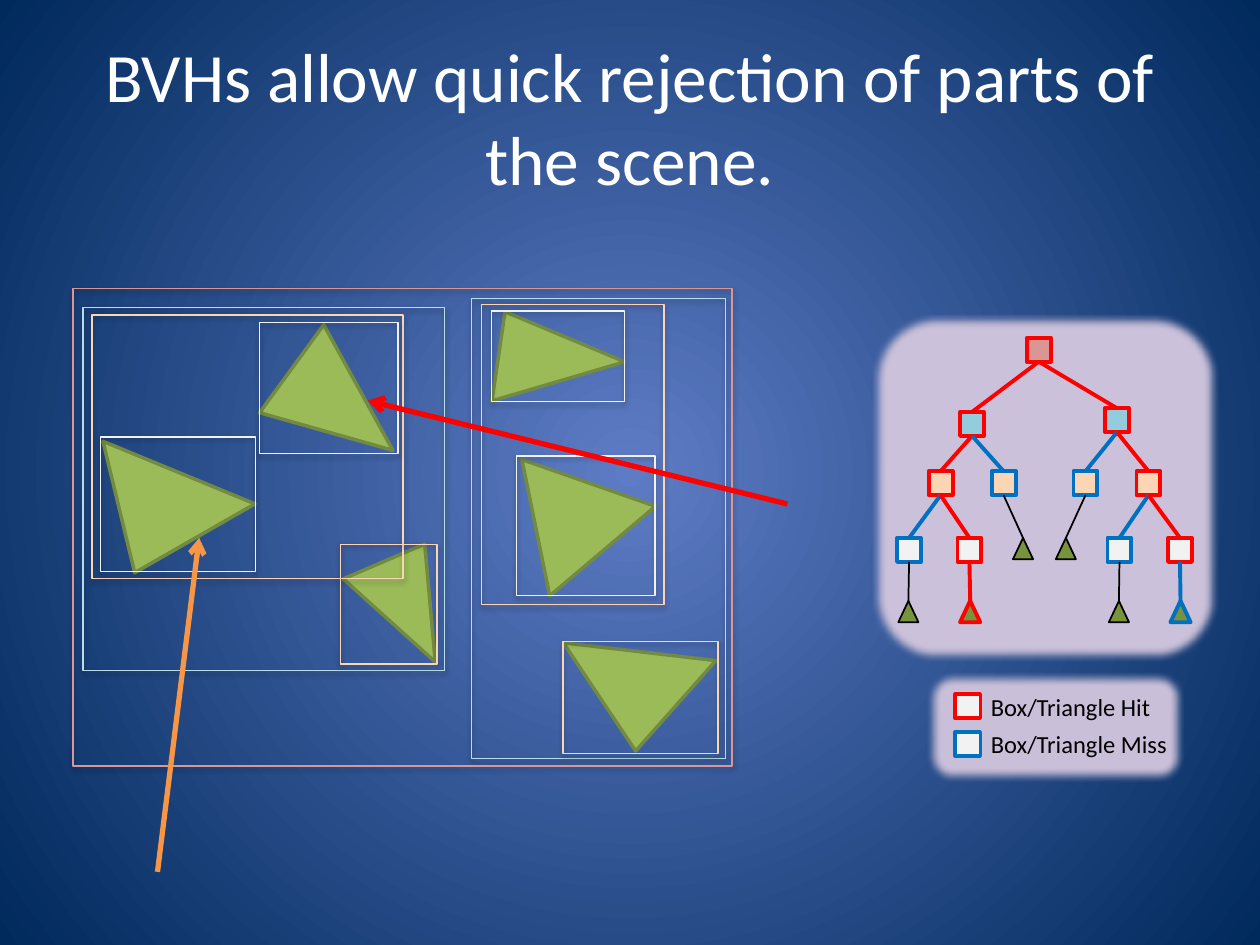
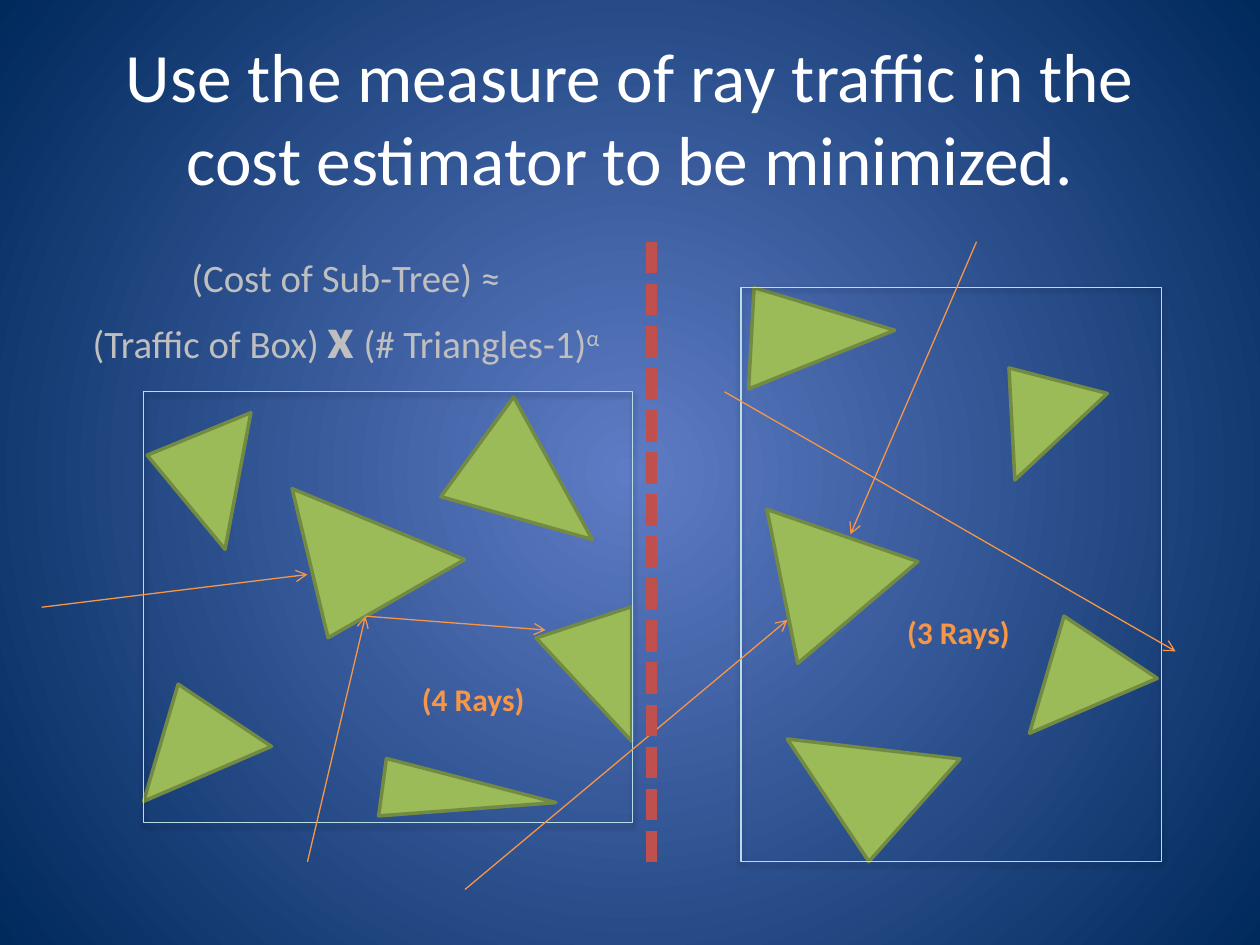
"""Build two slides on bounding volume hierarchies and ray traffic."""
from typing import Any, NamedTuple

from lxml import etree
from pptx import Presentation
from pptx.dml.color import RGBColor
from pptx.enum.dml import MSO_LINE
from pptx.enum.shapes import MSO_CONNECTOR, MSO_SHAPE
from pptx.enum.text import MSO_ANCHOR, MSO_AUTO_SIZE, PP_ALIGN
from pptx.oxml.ns import qn
from pptx.util import Pt

RECT, ROUND, TRI = MSO_SHAPE.RECTANGLE, MSO_SHAPE.ROUNDED_RECTANGLE, MSO_SHAPE.ISOSCELES_TRIANGLE
LINE, DASH = MSO_CONNECTOR.STRAIGHT, MSO_LINE.SQUARE_DOT
MID, TOP, CENTER, LEFT = MSO_ANCHOR.MIDDLE, MSO_ANCHOR.TOP, PP_ALIGN.CENTER, PP_ALIGN.LEFT
FIXED = MSO_AUTO_SIZE.NONE

FONT = "Calibri"
HUES = {
    "glow": "5E7CC5", "navy": "00295C", "white": "FFFFFF", "black": "000000",
    "lime": "9BBB59", "olive": "738A42", "moss": "77933C", "ice": "B7DEE8",
    "aqua": "93CDDD", "peach": "FCD5B5", "rose": "D99694", "pale": "F2F2F2",
    "lilac": "CCC1DA", "steel": "3A5F8C", "red": "FF0000", "blue": "0070C0",
    "orange": "F79646", "brick": "C0504D", "gray": "BFBFBF",
}
STATES = {"hit": ("red", 2.25), "miss": ("blue", 2.25), "skip": ("black", 1)}


class Tri(NamedTuple):
    """A scene triangle, turned by degrees."""
    x: float
    y: float
    w: float
    h: float
    turn: float
    peak: float = 0.273


class Box(NamedTuple):
    """An outlined bounding box."""
    x: float
    y: float
    w: float
    h: float
    hue: str


class Ray(NamedTuple):
    """An arrow from one point to another."""
    x1: float
    y1: float
    x2: float
    y2: float
    hue: str = "orange"
    width: float = 0.75


class Node(NamedTuple):
    """A tree node, placed by its top centre."""
    key: str
    mid: float
    top: float
    fill: str
    state: str
    root: str = ""


class Run(NamedTuple):
    """A run of text with its look."""
    text: str
    size: float
    hue: str
    bold: bool = False
    lift: int = 0


SCENE_TRIS = [
    Tri(53.3, 238.3, 79.2, 74.2, 330.2),
    Tri(272.9, 172.1, 79.2, 46.8, 343.6),
    Tri(187.9, 322.6, 67.7, 48.2, 264.9, 0.768),
    Tri(324.7, 343.4, 69.1, 72, 311.6),
    Tri(282.2, 253.4, 79.2, 69.8, 319.7, 0.483),
    Tri(154.8, 189.4, 79.2, 58.3, 15.8),
]
SCENE_BOXES = [
    Box(269.3, 170.6, 145.4, 262.8, "ice"),
    Box(47.5, 175.7, 206.6, 207.4, "ice"),
    Box(52.6, 180, 177.8, 150.5, "peach"),
    Box(194.4, 311, 55.4, 68.4, "peach"),
    Box(275, 174.2, 104.4, 171.4, "peach"),
    Box(321.8, 366.5, 88.6, 64.1, "peach"),
    Box(41.8, 164.9, 376.6, 272.9, "rose"),
    Box(57.6, 249.8, 88.6, 77, "pale"),
    Box(148.3, 184.3, 79.2, 74.9, "pale"),
    Box(280.8, 177.8, 76.3, 51.8, "pale"),
    Box(295.2, 260.6, 79.2, 79.9, "pale"),
]
SCENE_RAYS = [
    Ray(450, 288, 210.2, 229, "red", 3),
    Ray(90, 498.2, 113.8, 307.4, "orange", 3),
]
NODES = [
    Node("top", 593.6, 193, "rose", "hit"),
    Node("a", 555.5, 235.4, "aqua", "hit", "top"),
    Node("b", 638.3, 233.3, "aqua", "hit", "top"),
    Node("a1", 537.5, 269.3, "peach", "hit", "a"),
    Node("a2", 573.5, 269.3, "peach", "miss", "a"),
    Node("b1", 620.3, 269.3, "peach", "miss", "b"),
    Node("b2", 656.3, 269.3, "peach", "hit", "b"),
    Node("a11", 519.5, 307.4, "pale", "miss", "a1"),
    Node("a12", 554, 307.4, "pale", "hit", "a1"),
    Node("a21", 584.6, 307.4, "moss", "skip", "a2"),
    Node("b11", 609.1, 307.4, "moss", "skip", "b1"),
    Node("b21", 639.7, 307.4, "pale", "miss", "b2"),
    Node("b22", 674.3, 307.4, "pale", "hit", "b2"),
    Node("a111", 519.1, 343.4, "moss", "skip", "a11"),
    Node("a121", 554.4, 343.4, "moss", "hit", "a12"),
    Node("b211", 639.4, 343.4, "moss", "skip", "b21"),
    Node("b221", 674.6, 343.4, "moss", "miss", "b22"),
]
COST_TRIS = [
    Tri(160.6, 263.5, 90, 84.2, 330.2),
    Tri(414.7, 154.8, 90, 52.6, 338.1),
    Tri(295.2, 357.8, 77, 54.7, 270, 0.768),
    Tri(452.9, 395.3, 78.5, 81.4, 311.6),
    Tri(419.8, 280.8, 90, 78.5, 319.7, 0.483),
    Tri(259.2, 231.1, 90, 66.2, 15.8),
    Tri(251.3, 406.8, 33.1, 99.4, 97.7, 0.363),
    Tri(95, 236.9, 69.8, 61.2, 50.4),
    Tri(573.8, 213.1, 64.1, 55.4, 87),
    Tri(86.4, 402.5, 69.8, 61.2, 106.4),
    Tri(592.6, 363.6, 69.8, 61.2, 106.4),
]
COST_BOXES = [
    Box(82.1, 223.9, 279.4, 246.2, "ice"),
    Box(423.4, 164.2, 240.5, 328.3, "ice"),
]
COST_RAYS = [
    Ray(265.7, 508.3, 450, 354.2),
    Ray(175.7, 492.5, 208.8, 352.1),
    Ray(208.8, 352.1, 311.8, 360),
    Ray(23.8, 347, 175.7, 328.3),
    Ray(558, 138.2, 486, 305.3),
    Ray(414, 223.9, 671.8, 372.2),
]
FORMULA = [
    [Run("(Cost of Sub-Tree) ≈", 22.2, "gray")],
    [Run("(Traffic of Box) ", 22.2, "gray"), Run("x", 33.3, "gray", True),
     Run(" ", 22.2, "gray", True), Run("(# Triangles-1)", 22.2, "gray"),
     Run("α", 22.2, "gray", False, 30000)],
]


def rgb(hue: str) -> RGBColor:
    """Look up a colour by name."""
    return RGBColor.from_string(HUES[hue])


def put(item: Any, **vals: Any) -> None:
    """Set each value on the item."""
    for key, val in vals.items():
        setattr(item, key, val)


def sub(top: Any, tag: str, **vals: Any) -> Any:
    """Append an XML child with attributes."""
    return etree.SubElement(top, qn(tag), {key: str(val) for key, val in vals.items()})


def ink(item: Any, hue: str, width: float) -> None:
    """Set the colour and width of a line."""
    item.line.color.rgb = rgb(hue)
    item.line.width = Pt(width)


def form(slide: Any, kind: Any, x: float, y: float, w: float, h: float,
         fill: str, hue: str, width: float) -> Any:
    """Draw a preset shape; an empty fill name leaves it hollow."""
    shape = slide.shapes.add_shape(kind, Pt(x), Pt(y), Pt(w), Pt(h))
    shape.shadow.inherit = False
    if fill:
        shape.fill.solid()
        shape.fill.fore_color.rgb = rgb(fill)
    else:
        shape.fill.background()
    ink(shape, hue, width)
    return shape


def link(slide: Any, x1: float, y1: float, x2: float, y2: float,
         hue: str, width: float) -> Any:
    """Draw a straight line without a shadow."""
    line = slide.shapes.add_connector(LINE, Pt(x1), Pt(y1), Pt(x2), Pt(y2))
    ink(line, hue, width)
    sub(line.element.spPr, "a:effectLst")
    return line


def write(frame: Any, rows: list[list[Run]], align: Any, **vals: Any) -> None:
    """Fill a text frame with rows of runs."""
    put(frame, auto_size=FIXED, **vals)
    for at, row in enumerate(rows):
        para = frame.add_paragraph() if at else frame.paragraphs[0]
        para.alignment = align
        for part in row:
            run = para.add_run()
            run.text = part.text
            put(run.font, name=FONT, size=Pt(part.size), bold=part.bold)
            run.font.color.rgb = rgb(part.hue)
            if part.lift:
                run.font._element.set("baseline", str(part.lift))


def note(slide: Any, x: float, y: float, w: float, h: float,
         rows: list[list[Run]], align: Any = LEFT, **vals: Any) -> None:
    """Add a text box."""
    box = slide.shapes.add_textbox(Pt(x), Pt(y), Pt(w), Pt(h))
    write(box.text_frame, rows, align, **vals)


def scene(slide: Any, tris: list[Tri], boxes: list[Box]) -> None:
    """Draw the triangles and their bounding boxes."""
    for tri in tris:
        shape = form(slide, TRI, *tri[:4], "lime", "olive", 2)
        shape.rotation = tri.turn
        shape.adjustments[0] = tri.peak
    for box in boxes:
        shape = form(slide, RECT, *box[:4], "", box.hue, 0.75)
        fx = shape.element.spPr.find(qn("a:effectLst"))
        shade = sub(fx, "a:outerShdw", blurRad=Pt(3.1), dist=Pt(1.6), dir=5400000, rotWithShape=0)
        sub(sub(shade, "a:srgbClr", val=HUES["black"]), "a:alpha", val=38000)


def shoot(slide: Any, rays: list[Ray]) -> None:
    """Draw the rays as arrows."""
    for ray in rays:
        line = link(slide, *ray)
        sub(line.element.spPr.find(qn("a:ln")), "a:tailEnd", type="arrow")


def panel(slide: Any, x: float, y: float, w: float, h: float) -> None:
    """Draw a rounded panel with soft edges."""
    shape = form(slide, ROUND, x, y, w, h, "lilac", "steel", 1)
    sub(shape.element.spPr.find(qn("a:effectLst")), "a:softEdge", rad=Pt(5))


def tree(slide: Any) -> None:
    """Draw the tree, each edge styled as its child."""
    seen = {}
    for node in NODES:
        leaf = node.fill == "moss"
        kind, w, h = (TRI, 11.5, 12.2) if leaf else (RECT, 13.7, 13.7)
        style = STATES[node.state]
        shape = form(slide, kind, node.mid - w / 2, node.top, w, h, node.fill, *style)
        seen[node.key] = shape
        if node.root:
            edge = link(slide, 0, 0, 0, 0, *style)
            edge.begin_connect(seen[node.root], 2)
            edge.end_connect(shape, 0)


def legend(slide: Any) -> None:
    """Draw the key to hits and misses."""
    panel(slide, 529.2, 383.8, 147.6, 63.4)
    for at, (state, text) in enumerate([("hit", "Box/Triangle Hit"), ("miss", "Box/Triangle Miss")]):
        y = 396.7 + 21.6 * at
        form(slide, RECT, 545.8, y, 14.4, 13.7, "pale", STATES[state][0], 2)
        note(slide, 559.1, y - 5, 120, 24.5, [[Run(text, 14, "black")]],
             word_wrap=True, vertical_anchor=TOP)


def start(prs: Any, text: str) -> Any:
    """Add a slide with a styled title."""
    slide = prs.slides.add_slide(prs.slide_layouts[5])
    title = slide.shapes.title
    put(title, left=Pt(36), top=Pt(21.6), width=Pt(648), height=Pt(90))
    write(title.text_frame, [[Run(text, 39.6, "white")]], CENTER, word_wrap=True, vertical_anchor=MID)
    return slide


def paint(prs: Any) -> None:
    """Give the master a round gradient."""
    fill = prs.slide_master.background.fill
    fill.gradient()
    for stop, hue, at in zip(fill.gradient_stops, ("glow", "navy"), (0, 1)):
        stop.color.rgb = rgb(hue)
        stop.position = at
    grad = prs.slide_master.element.find(".//" + qn("a:gradFill"))
    grad.remove(grad.find(qn("a:lin")))
    sub(sub(grad, "a:path", path="circle"), "a:fillToRect", l=50000, t=50000, r=50000, b=50000)


def main() -> None:
    """Build and save the slides."""
    prs = Presentation()
    put(prs, slide_width=Pt(720), slide_height=Pt(540))
    paint(prs)

    slide = start(prs, "BVHs allow quick rejection of parts of the scene.")
    scene(slide, SCENE_TRIS, SCENE_BOXES)
    panel(slide, 498.2, 179.3, 198, 198.7)
    tree(slide)
    shoot(slide, SCENE_RAYS)
    legend(slide)

    slide = start(prs, "Use the measure of ray traffic in the cost estimator to be minimized.")
    scene(slide, COST_TRIS, COST_BOXES)
    note(slide, 41.8, 138.2, 311.8, 79.9, FORMULA, CENTER, word_wrap=True, vertical_anchor=MID)
    shoot(slide, COST_RAYS)
    wall = link(slide, 372.2, 138.2, 372.2, 492.5, "brick", 6)
    wall.line.dash_style = DASH
    for x, y, text in [(234, 385.2, "(4 Rays)"), (511.2, 347, "(3 Rays)")]:
        note(slide, x, y, 77.8, 28.8, [[Run(text, 18, "orange", True)]], word_wrap=False)
    prs.save("out.pptx")


if __name__ == "__main__":
    main()
